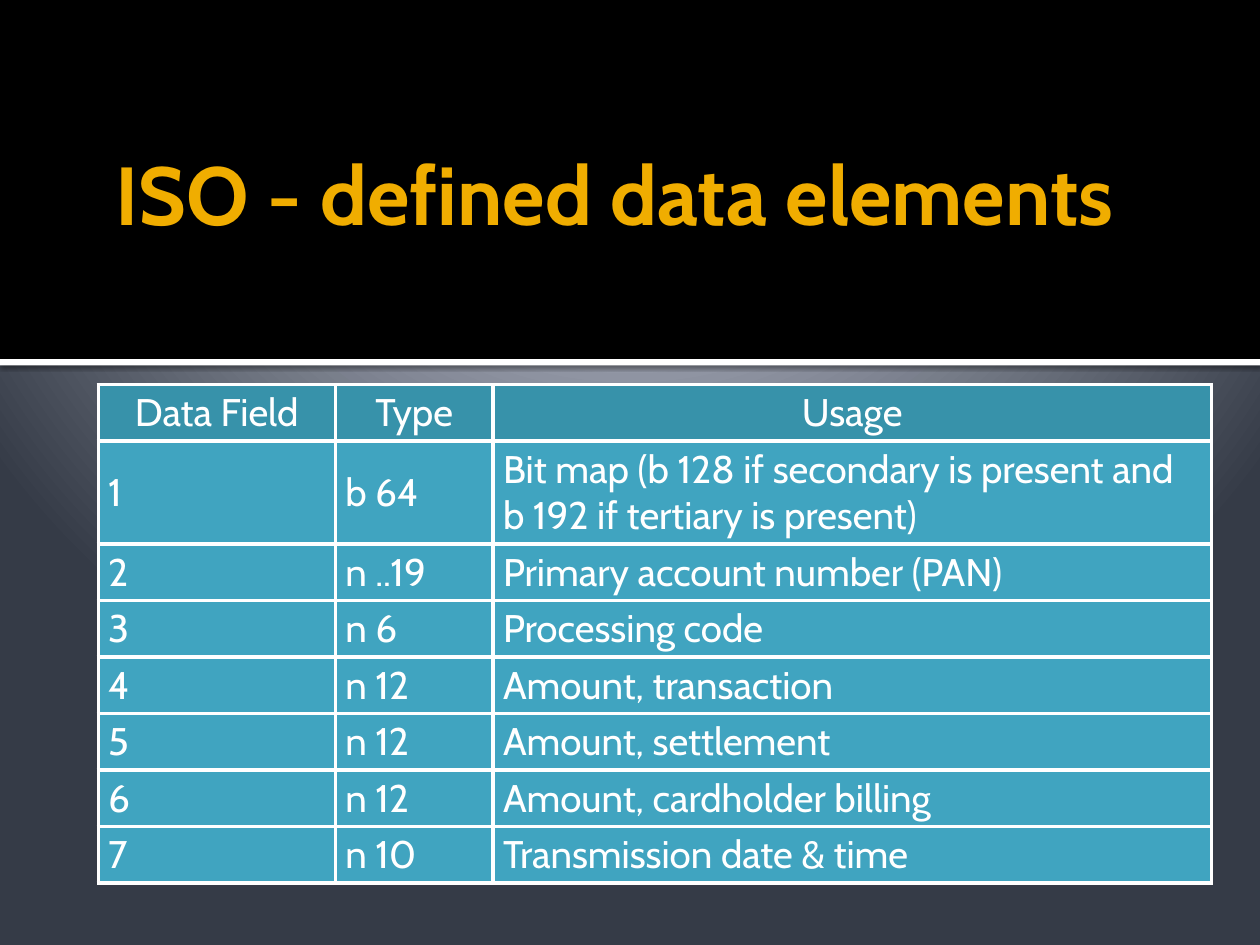
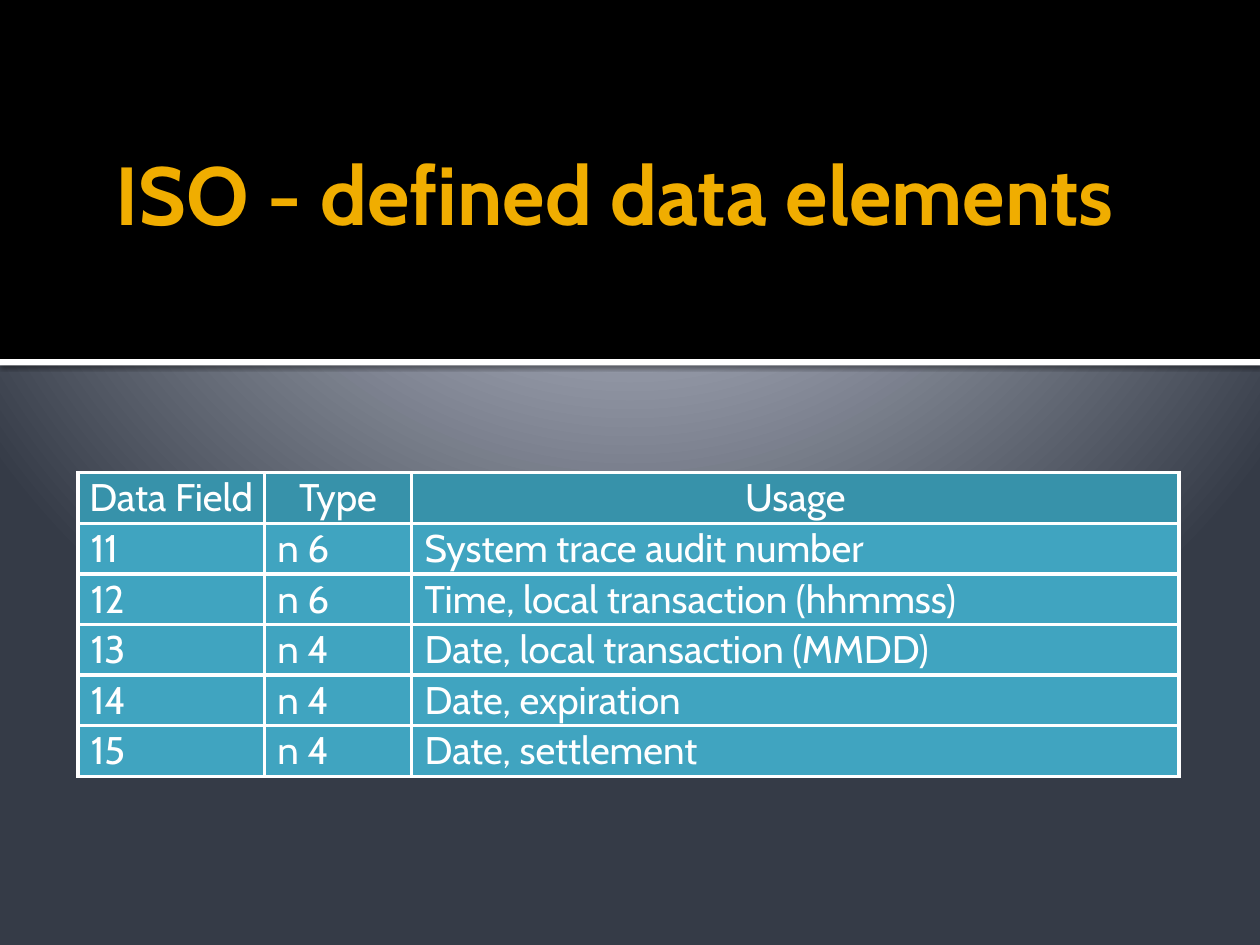
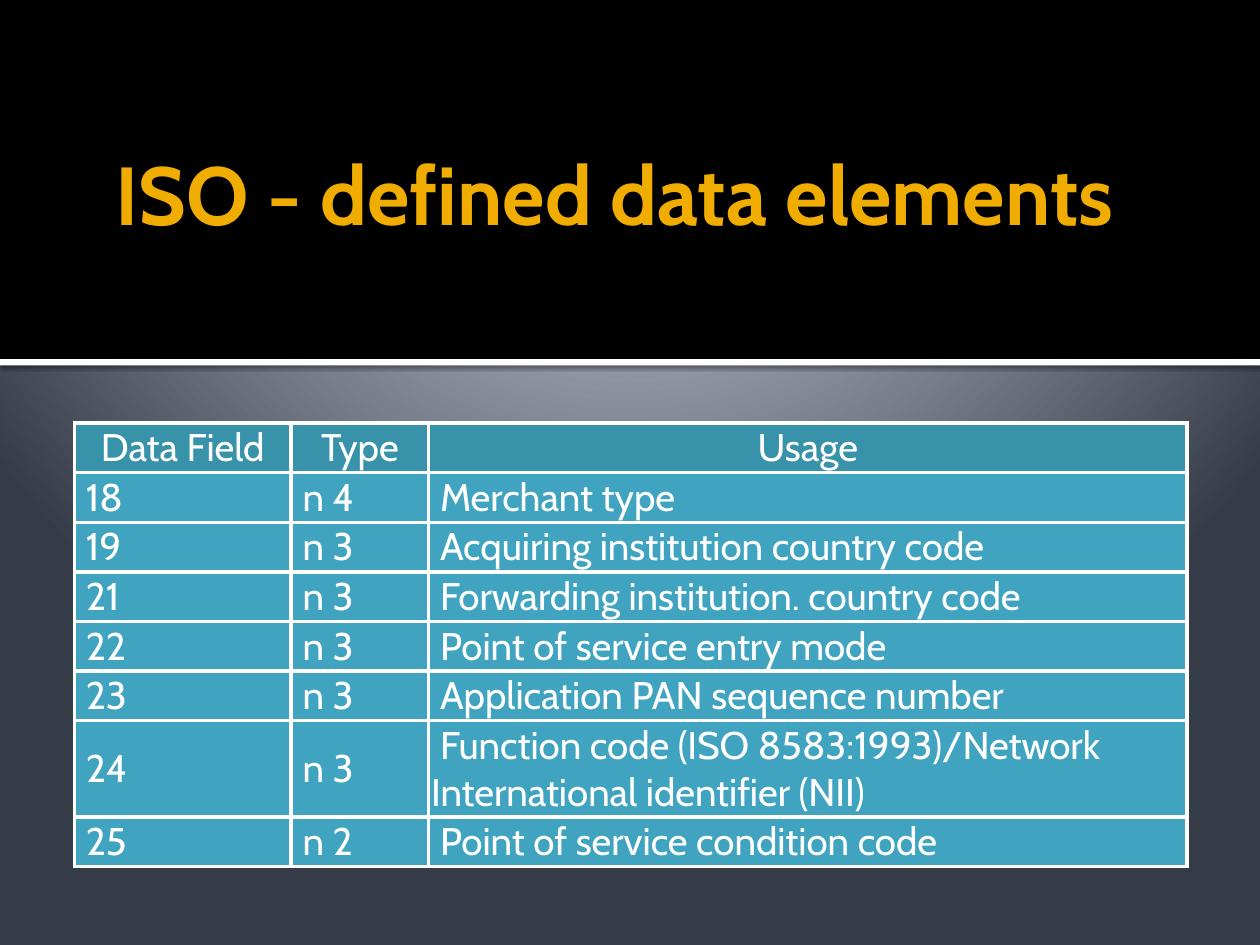
from dataclasses import dataclass
from math import ceil

from lxml.etree import SubElement
from pptx import Presentation
from pptx.dml.color import RGBColor
from pptx.enum.shapes import MSO_SHAPE as Shape
from pptx.enum.text import MSO_ANCHOR as Anchor, PP_ALIGN as Align
from pptx.oxml import parse_xml
from pptx.oxml.ns import nsdecls, qn
from pptx.util import Cm, Pt

COLORS = {
    "band": "000000",
    "rule": "FFFFFF",
    "shadow": "000000",
    "title": "F0AD00",
    "text": "FFFFFF",
    "border": "FFFFFF",
    "header": "3792AA",
    "body": "40A4C0",
    "glow": "C1C5D3",
    "glow_edge": "BFC4D2",
    "slate": "353B47",
}
FONT = "Cabin"
TITLE = "ISO - defined data elements"
HEADINGS = ("Data Field", "Type", "Usage")
PAGE_WIDTH, PAGE_HEIGHT = 25.4, 19.05
BAND_HEIGHT, RULE_HEIGHT = 7.24, 0.13
LINE_HEIGHT, LINE_CHARACTERS = 0.94, 60
GLOW_STOPS = ((0, "glow"), (12, "glow"), (20, "glow_edge"), (100, "slate"))


@dataclass
class FieldTable:
    """Placement, spacing and rows of one table of data fields, in cm."""

    left: float
    top: float
    widths: tuple
    inset: tuple
    indent: float
    rows: tuple


TABLES = (
    FieldTable(1.98, 7.75, (4.78, 3.18, 14.48), (0.2, 0.1), 0, (
        ("1", "b 64", "Bit map (b 128 if secondary is present and "
                      "b 192 if tertiary is present)"),
        ("2", "n ..19", "Primary account number (PAN)"),
        ("3", "n 6", "Processing code"),
        ("4", "n 12", "Amount, transaction"),
        ("5", "n 12", "Amount, settlement"),
        ("6", "n 12", "Amount, cardholder billing"),
        ("7", "n 10", "Transmission date & time"),
    )),
    FieldTable(1.57, 9.53, (3.76, 2.97, 15.47), (0.08, 0.04), 0.18, (
        ("11", "n 6", "System trace audit number"),
        ("12", "n 6", "Time, local transaction (hhmmss)"),
        ("13", "n 4", "Date, local transaction (MMDD)"),
        ("14", "n 4", "Date, expiration"),
        ("15", "n 4", "Date, settlement"),
    )),
    FieldTable(1.5, 8.53, (4.37, 2.77, 15.29), (0.05, 0.03), 0.18, (
        ("18", "n 4", "Merchant type"),
        ("19", "n 3", "Acquiring institution country code"),
        ("21", "n 3", "Forwarding institution. country code"),
        ("22", "n 3", "Point of service entry mode"),
        ("23", "n 3", "Application PAN sequence number"),
        ("24", "n 3", "Function code (ISO 8583:1993)/Network "
                      "International identifier (NII)"),
        ("25", "n 2", "Point of service condition code"),
    )),
)


def color(name):
    """Return the named colour."""
    return RGBColor.from_string(COLORS[name])


def set_font(para, size, name, bold=False):
    """Format every run of a paragraph."""
    for span in para.runs:
        span.font.name = FONT
        span.font.size = Pt(size)
        span.font.bold = bold
        span.font.color.rgb = color(name)


def add_background(page):
    """Fill the page with a glow that fades to slate."""
    stops = "".join(
        f'<a:gs pos="{place * 1000}"><a:srgbClr val="{COLORS[name]}"/></a:gs>'
        for place, name in GLOW_STOPS)
    page.element.cSld.insert(0, parse_xml(
        f'<p:bg {nsdecls("p", "a")}><p:bgPr><a:gradFill rotWithShape="1">'
        f'<a:gsLst>{stops}</a:gsLst><a:path path="circle">'
        '<a:fillToRect l="10000" t="-25000" r="10000" b="125000"/></a:path>'
        '</a:gradFill><a:effectLst/></p:bgPr></p:bg>'))


def add_band(page, top, height, name):
    """Add a plain band across the whole page."""
    band = page.shapes.add_shape(
        Shape.RECTANGLE, 0, Cm(top), Cm(PAGE_WIDTH), Cm(height))
    band.shadow.inherit = False
    band.fill.solid()
    band.fill.fore_color.rgb = color(name)
    band.line.fill.background()
    return band


def add_shadow(band):
    """Cast a soft shadow below a band."""
    effects = band.element.spPr.find(qn("a:effectLst"))
    shadow = SubElement(
        effects, qn("a:outerShdw"), blurRad=str(Pt(2.5)), dist=str(Pt(0.8)),
        dir="5400000", algn="t", rotWithShape="0")
    tone = SubElement(shadow, qn("a:srgbClr"), val=COLORS["shadow"])
    SubElement(tone, qn("a:alpha"), val="60000")


def add_title(page, text):
    """Add the page title."""
    box = page.shapes.add_textbox(Cm(2.08), Cm(0.33), Cm(22.25), Cm(4.55))
    frame = box.text_frame
    frame.word_wrap = True
    frame.vertical_anchor = Anchor.BOTTOM
    frame.margin_top = frame.margin_bottom = 0
    frame.text = text
    set_font(frame.paragraphs[0], 47, "title", bold=True)


def add_borders(cell):
    """Draw the four edges of a cell."""
    properties = cell._tc.get_or_add_tcPr()
    for edge in ("lnL", "lnR", "lnT", "lnB"):
        line = SubElement(properties, qn(f"a:{edge}"), w=str(Pt(2.25)))
        fill = SubElement(line, qn("a:solidFill"))
        SubElement(fill, qn("a:srgbClr"), val=COLORS["border"])


def fill_cell(cell, text, inset, indent, is_header):
    """Write and style one table cell."""
    cell.margin_left = cell.margin_right = Cm(inset[0])
    cell.margin_top = cell.margin_bottom = Cm(inset[1])
    cell.vertical_anchor = Anchor.MIDDLE
    add_borders(cell)
    cell.fill.solid()
    cell.fill.fore_color.rgb = color("header" if is_header else "body")
    cell.text_frame.text = text
    para = cell.text_frame.paragraphs[0]
    set_font(para, 22, "text")
    if is_header:
        para.alignment = Align.CENTER
    elif indent:
        para._p.get_or_add_pPr().set("indent", str(Cm(indent)))


def add_field_table(page, fields):
    """Add a table of data fields under the shared headings."""
    rows = (HEADINGS, *fields.rows)
    heights = [ceil(len(row[-1]) / LINE_CHARACTERS) * LINE_HEIGHT
               + 2 * fields.inset[1] for row in rows]
    table = page.shapes.add_table(
        len(rows), len(HEADINGS), Cm(fields.left), Cm(fields.top),
        Cm(sum(fields.widths)), Cm(sum(heights))).table
    table.horz_banding = False
    for column, width in zip(table.columns, fields.widths):
        column.width = Cm(width)
    for index, (row, height) in enumerate(zip(rows, heights)):
        table.rows[index].height = Cm(height)
        for cell, text in zip(table.rows[index].cells, row):
            fill_cell(cell, text, fields.inset, fields.indent, index == 0)


def add_page(deck):
    """Add a page with the shared background, bands and title."""
    page = deck.slides.add_slide(deck.slide_layouts[6])
    add_background(page)
    add_band(page, 0, BAND_HEIGHT, "band")
    add_shadow(add_band(page, BAND_HEIGHT, RULE_HEIGHT, "rule"))
    add_title(page, TITLE)
    return page


def main():
    """Build and save the deck."""
    deck = Presentation()
    deck.slide_width, deck.slide_height = Cm(PAGE_WIDTH), Cm(PAGE_HEIGHT)
    for fields in TABLES:
        add_field_table(add_page(deck), fields)
    deck.save("out.pptx")


if __name__ == "__main__":
    main()
